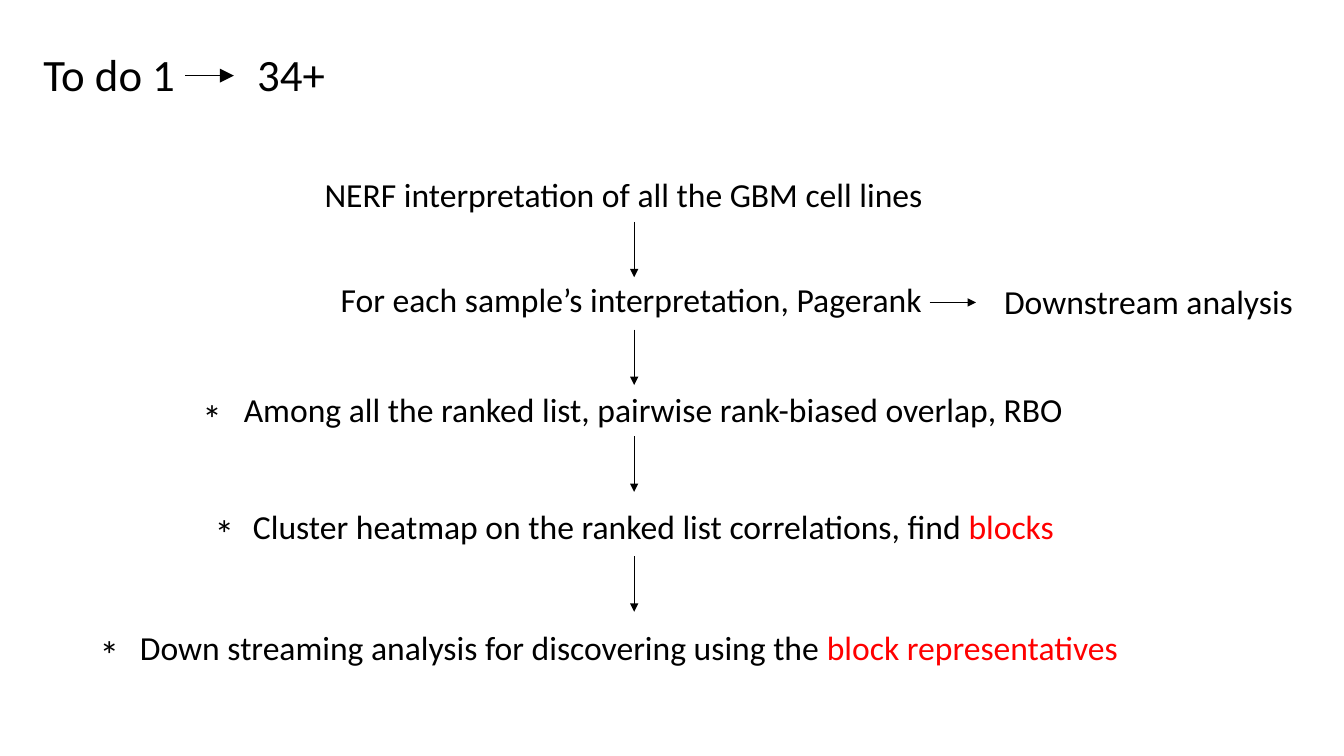
from lxml.etree import SubElement
from pptx import Presentation
from pptx.dml.color import RGBColor
from pptx.enum.shapes import MSO_CONNECTOR
from pptx.enum.text import MSO_ANCHOR, MSO_AUTO_SIZE, PP_ALIGN
from pptx.oxml.ns import qn
from pptx.util import Inches, Pt

BLACK, RED = "000000", "FF0000"
FLOW_X = 6.29
ARROW_LENGTH = 0.55

presentation = Presentation()
presentation.slide_width = Inches(13.33)
presentation.slide_height = Inches(7.5)
slide = presentation.slides.add_slide(presentation.slide_layouts[5])


def write(text, left, top, width, height=0.5, size=24, highlight="", shape=None, tab=None):
    """Write one line of text, with an optional red ending, in a new box or a placeholder."""
    box = [Inches(value) for value in (left, top, width, height)]
    if shape is None:
        shape = slide.shapes.add_textbox(*box)
    shape.left, shape.top, shape.width, shape.height = box
    frame = shape.text_frame
    frame.word_wrap = False
    frame.auto_size = MSO_AUTO_SIZE.NONE
    frame.vertical_anchor = MSO_ANCHOR.TOP
    paragraph = frame.paragraphs[0]
    paragraph.alignment = PP_ALIGN.LEFT
    if tab:
        tabs = SubElement(paragraph._p.get_or_add_pPr(), qn("a:tabLst"))
        SubElement(tabs, qn("a:tab"), pos=str(Inches(tab)), algn="l")
    for words, color in ((text, BLACK), (highlight, RED)):
        if words:
            run = paragraph.add_run()
            run.text = words
            run.font.name = "Calibri"
            run.font.size = Pt(size)
            run.font.color.rgb = RGBColor.from_string(color)


def draw_arrow(x, y, across=0, down=0, head="med"):
    """Draw a thin black arrow from (x, y)."""
    arrow = slide.shapes.add_connector(
        MSO_CONNECTOR.STRAIGHT, Inches(x), Inches(y), Inches(x + across), Inches(y + down))
    arrow.line.color.rgb = RGBColor.from_string(BLACK)
    arrow.line.width = Pt(0.5)
    SubElement(arrow.line._get_or_add_ln(), qn("a:tailEnd"), type="triangle", w=head, len=head)
    SubElement(arrow._element.spPr, qn("a:effectLst"))


# Title, with its arrow in the tab gap
write("To do 1\t34+", 0.33, 0.41, 3.11, height=0.64, size=32,
      shape=slide.shapes.title, tab=2.12)
draw_arrow(1.84, 0.75, across=0.48, head="lg")

# Steps of the workflow: text, red ending, left, top, width
steps = [
    ("NERF interpretation of all the GBM cell lines", "", 3.12, 1.68, 6.19),
    ("For each sample’s interpretation, Pagerank", "", 3.28, 2.72, 6.02),
    ("Among all the ranked list, pairwise rank-biased overlap, RBO", "", 2.32, 3.81, 8.4),
    ("Cluster heatmap on the ranked list correlations, find ", "blocks", 2.41, 4.97, 8.22),
    ("Down streaming analysis for discovering using the ", "block representatives",
     1.29, 6.17, 10),
]
for text, highlight, left, top, width in steps:
    write(text, left, top, width, highlight=highlight)

# Arrows between the steps
for top in (2.2, 3.27, 4.33, 5.52):
    draw_arrow(FLOW_X, top, down=ARROW_LENGTH)

# Asterisks beside the last three steps
for left, top in ((1.91, 3.86), (2.03, 5), (0.89, 6.2)):
    write("*", left, top, 0.4, height=0.57, size=28)

# Side branch
draw_arrow(9.22, 3, across=0.46)
write("Downstream analysis", 9.86, 2.74, 3.09)

presentation.save("out.pptx")
